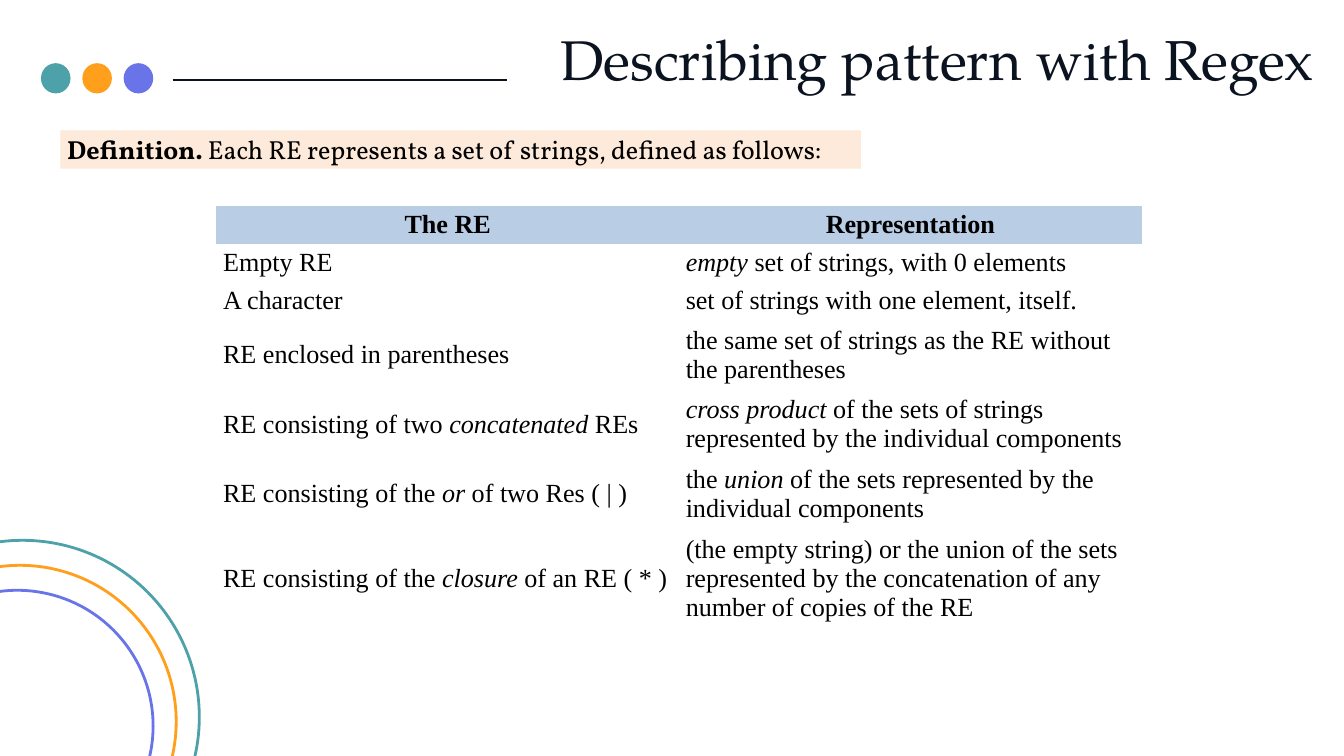
from pptx import Presentation
from pptx.dml.color import RGBColor
from pptx.enum.shapes import MSO_CONNECTOR, MSO_SHAPE
from pptx.enum.text import MSO_ANCHOR, PP_ALIGN
from pptx.oxml.ns import qn
from pptx.util import Inches, Pt
from lxml.etree import SubElement

INK, BLACK, PEACH, HEADER = "0B1320", "000000", "FDEADA", "B9CDE5"
ACCENTS = ["4DA1A9", "FF9F1C", "6874E8"]
PLAIN_TABLE_STYLE = "{2D5ABB26-0587-4C30-8999-92F81FD0307C}"

HEADINGS = ["The RE", "Representation"]
DEFINITIONS = [
    (["Empty RE"], ["", "empty ", "set of strings, with 0 elements"]),
    (["A character"], ["set of strings with one element, itself."]),
    (["RE enclosed in parentheses"],
     ["the same set of strings as the RE without the parentheses"]),
    (["RE consisting of two ", "concatenated ", "REs"],
     ["", "cross product ", "of the sets of strings represented by the individual components"]),
    (["RE consisting of the ", "or ", "of two Res ( | )"],
     ["the ", "union ", "of the sets represented by the individual components"]),
    (["RE consisting of the ", "closure ", "of an RE ( * )"],
     ["(the empty string) or the union of the sets represented by the "
      "concatenation of any number of copies of the RE"]),
]


def color(value):
    return RGBColor.from_string(value)


class RegexSlide:
    """Holds the slide being built and the style of its elements."""

    title_font, definition_font, table_font = "TeX Gyre Pagella", "Vollkorn", "Times New Roman"
    body_size, line_width = 28, 3

    def __init__(self, slide):
        self.slide = slide
        self.shapes = slide.shapes

    def run(self, paragraph, text, font, size, ink=BLACK, bold=False, italic=False):
        run = paragraph.add_run()
        run.text = text
        run.font.name, run.font.size = font, Pt(size)
        run.font.bold, run.font.italic = bold, italic
        run.font.color.rgb = color(ink)

    def title(self, text, left, top, width, height):
        box = self.shapes.add_textbox(Inches(left), Inches(top), Inches(width), Inches(height))
        frame = box.text_frame
        frame.word_wrap = True
        frame.margin_left = frame.margin_right = frame.margin_top = frame.margin_bottom = 0
        paragraph = frame.paragraphs[0]
        paragraph.alignment, paragraph.line_spacing = PP_ALIGN.RIGHT, 1.2
        self.run(paragraph, text, self.title_font, 60, INK)

    def rule(self, left, right, y):
        rule = self.shapes.add_connector(
            MSO_CONNECTOR.STRAIGHT, Inches(left), Inches(y), Inches(right), Inches(y))
        rule.line.color.rgb, rule.line.width = color(INK), Pt(self.line_width)
        SubElement(rule._element.spPr, qn("a:effectLst"))

    def figure(self, preset, left, top, width, height, fill=None, outline=None):
        figure = self.shapes.add_shape(
            preset, Inches(left), Inches(top), Inches(width), Inches(height))
        figure.shadow.inherit = False
        if fill:
            figure.fill.solid()
            figure.fill.fore_color.rgb = color(fill)
        else:
            figure.fill.background()
        if outline:
            figure.line.color.rgb, figure.line.width = color(outline), Pt(self.line_width)
        else:
            figure.line.fill.background()
        return figure

    def arch(self, center_x, center_y, width, height, outline):
        arch = self.figure(MSO_SHAPE.ROUND_2_SAME_RECTANGLE, center_x - width / 2,
                           center_y - height / 2, width, height, outline=outline)
        arch.adjustments[0], arch.adjustments[1] = 0.5, 0
        arch.rotation = 30.1

    def definition(self, term, text, left, top, width, height):
        banner = self.figure(MSO_SHAPE.RECTANGLE, left, top, width, height, fill=PEACH)
        frame = banner.text_frame
        frame.word_wrap, frame.vertical_anchor = True, MSO_ANCHOR.TOP
        paragraph = frame.paragraphs[0]
        paragraph.alignment = PP_ALIGN.LEFT
        self.run(paragraph, term, self.definition_font, self.body_size, bold=True)
        self.run(paragraph, text, self.definition_font, self.body_size)

    def cell(self, cell, pieces, heading=False):
        cell.vertical_anchor = MSO_ANCHOR.MIDDLE
        if heading:
            cell.fill.solid()
            cell.fill.fore_color.rgb = color(HEADER)
        else:
            cell.fill.background()
        paragraph = cell.text_frame.paragraphs[0]
        paragraph.alignment = PP_ALIGN.CENTER if heading else PP_ALIGN.LEFT
        for index, text in enumerate(pieces):
            if text:
                self.run(paragraph, text, self.table_font, self.body_size,
                         bold=heading, italic=index == 1)

    def table(self, headings, rows, left, top, width, row_height):
        count = len(rows) + 1
        table = self.shapes.add_table(count, len(headings), Inches(left), Inches(top),
                                      Inches(width), Inches(row_height * count)).table
        table.horz_banding = False
        table._tbl.tblPr.find(qn("a:tableStyleId")).text = PLAIN_TABLE_STYLE
        for column, heading in enumerate(headings):
            self.cell(table.cell(0, column), [heading], heading=True)
        for row, entries in enumerate(rows, 1):
            for column, pieces in enumerate(entries):
                self.cell(table.cell(row, column), pieces)


def main():
    presentation = Presentation()
    presentation.slide_width, presentation.slide_height = Inches(20), Inches(11.25)
    page = RegexSlide(presentation.slides.add_slide(presentation.slide_layouts[6]))

    page.title("Describing pattern with Regex", 5.05, 0.17, 14.5, 1.21)
    page.rule(2.57, 7.54, 1.19)
    for index, accent in enumerate(ACCENTS):
        page.figure(MSO_SHAPE.OVAL, 0.61 + 0.615 * index, 0.94, 0.44, 0.45, fill=accent)
    page.definition("Definition. ", "Each RE represents a set of strings, defined as follows:",
                    0.9, 1.94, 11.91, 0.57)
    page.table(HEADINGS, DEFINITIONS, 3.22, 3.06, 13.77, 0.41)
    for index, accent in enumerate(ACCENTS):
        page.arch(0, 11.25, 5.26 - 0.61 * index, 6.6 - 0.765 * index, accent)

    presentation.save("out.pptx")


if __name__ == "__main__":
    main()
